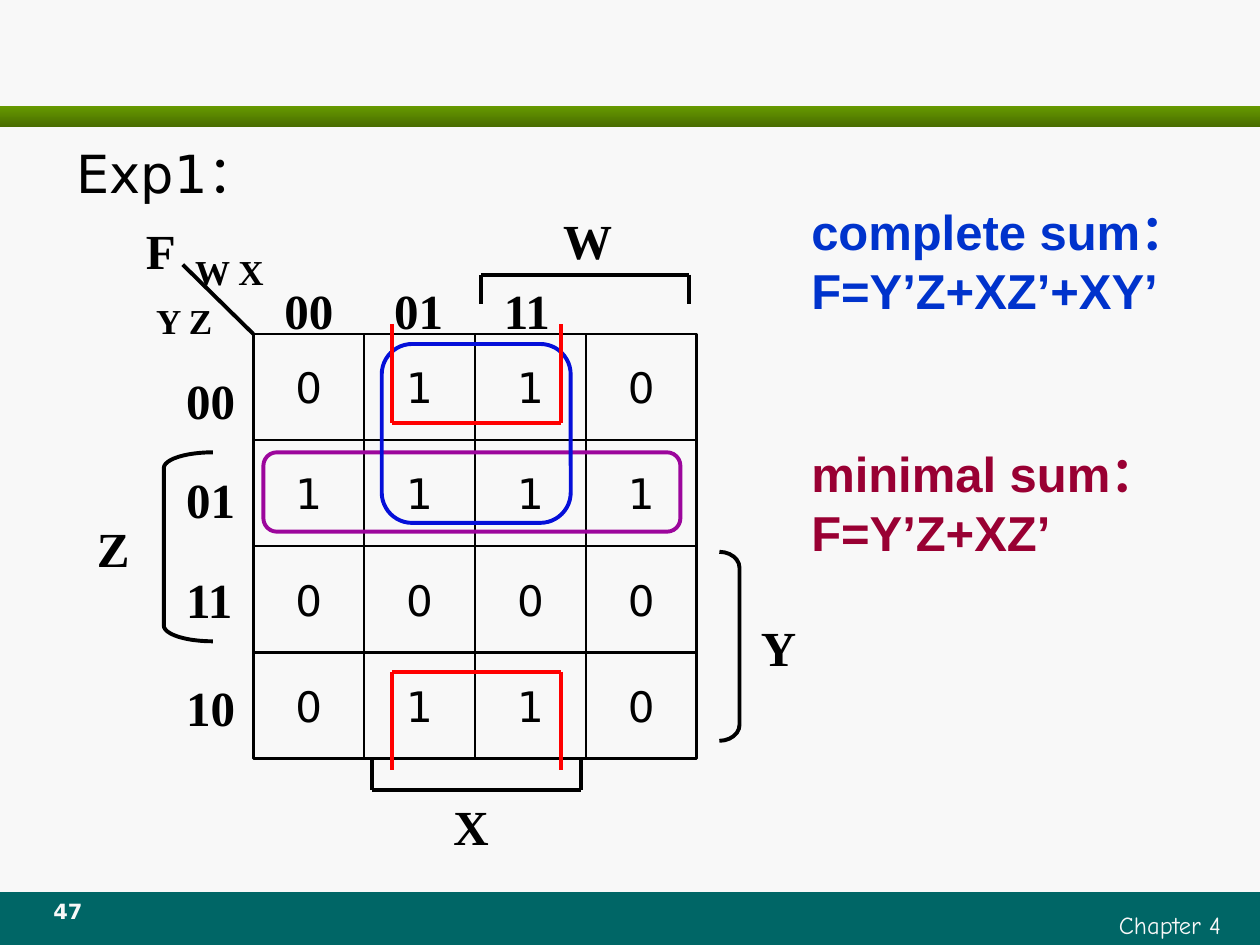
"""Build the Karnaugh map slide with its complete and minimal sums."""
from dataclasses import dataclass
from itertools import pairwise

from lxml import etree
from pptx import Presentation
from pptx.dml.color import RGBColor
from pptx.enum.shapes import MSO_CONNECTOR, MSO_SHAPE
from pptx.enum.text import MSO_ANCHOR, PP_ALIGN
from pptx.oxml.ns import qn
from pptx.util import Inches, Pt

LEFT, CENTER, RIGHT = PP_ALIGN.LEFT, PP_ALIGN.CENTER, PP_ALIGN.RIGHT
TOP, MIDDLE = MSO_ANCHOR.TOP, MSO_ANCHOR.MIDDLE
RECTANGLE, ROUNDED = MSO_SHAPE.RECTANGLE, MSO_SHAPE.ROUNDED_RECTANGLE
LEFT_BRACKET, RIGHT_BRACKET = MSO_SHAPE.LEFT_BRACKET, MSO_SHAPE.RIGHT_BRACKET
STRAIGHT = MSO_CONNECTOR.STRAIGHT


@dataclass(frozen=True)
class Theme:
    paper: str = "F8F8F8"
    footer: str = "006666"
    bar_top: str = "669900"
    bar_bottom: str = "496D00"
    ink: str = "000000"
    complete: str = "0033CC"
    minimal: str = "990033"
    purple: str = "9C069C"
    blue: str = "050FD9"
    red: str = "FF0000"
    plain: str = "DejaVu Sans"
    serif: str = "Times New Roman"
    sans: str = "Arial"
    casual: str = "Comic Neue"
    heading: int = 30
    label: int = 28
    digit: int = 24
    axis: int = 20
    chapter: int = 14
    number: int = 12
    thin: float = 1.5
    thick: float = 2.25


THEME = Theme()

MAP_ROWS = ["0110", "1111", "0000", "0110"]
MAP_LEFT, MAP_TOP, CELL_WIDTH, CELL_HEIGHT = 2.01, 2.65, 0.88, 0.8425

COLUMN_CODES = ["00", "01", "11"]
ROW_CODES = ["00", "01", "11", "10"]
CODE_LEFT, CODE_TOP, CODE_STEP = 2.16, 2.18, 0.87
ROW_CODE_LEFT, ROW_CODE_TOP, ROW_CODE_STEP = 1.38, 2.89, 0.79
ROW_CODE_LAST = 5.33

VARIABLES = [
    ("F", 1.06, 1.7, THEME.label),
    ("W", 4.37, 1.62, THEME.label),
    ("X", 3.5, 6.27, THEME.label),
    ("Y", 5.94, 4.85, THEME.label),
    ("Z", 0.67, 4.07, THEME.label),
    ("W X", 1.45, 1.94, THEME.axis),
    ("Y Z", 1.14, 2.33, THEME.axis),
]
SUMS = [
    ("complete sum：F=Y’Z+XZ’+XY’", 1.55, THEME.complete),
    ("minimal sum：F=Y’Z+XZ’", 3.47, THEME.minimal),
]
OUTLINES = [
    (RIGHT_BRACKET, (5.71, 4.38, 0.16, 1.5), 0.8, THEME.ink),
    (LEFT_BRACKET, (1.3, 3.59, 0.39, 1.5), 0.32, THEME.ink),
    (ROUNDED, (2.09, 3.59, 3.31, 0.63), 0.17, THEME.purple),
    (ROUNDED, (3.03, 2.73, 1.5, 1.42), 0.17, THEME.blue),
]
DIAGONAL = [(MAP_LEFT, MAP_TOP), (1.45, 2.1)]
OPEN_BOXES = [
    (3.82, 5.47, 2.41, 2.18, THEME.ink),
    (2.95, 4.61, 6.03, 6.27, THEME.ink),
    (3.11, 4.45, 6.11, 5.33, THEME.red),
    (3.11, 4.45, 2.57, 3.36, THEME.red),
]


def color(value):
    return RGBColor.from_string(value)


def write(box, text, size, font=THEME.serif, ink=THEME.ink, bold=True,
          align=LEFT, anchor=TOP):
    frame = box.text_frame
    frame.word_wrap = True
    frame.vertical_anchor = anchor
    para = frame.paragraphs[0]
    para.alignment = align
    span = para.add_run()
    span.text = text
    span.font.size = Pt(size)
    span.font.name = font
    span.font.bold = bold
    span.font.color.rgb = color(ink)


def add_text(page, text, place, size, **style):
    box = page.shapes.add_textbox(*map(Inches, place))
    write(box, text, size, **style)


def add_shape(page, kind, place, fill=None, line=None, width=THEME.thick):
    shape = page.shapes.add_shape(kind, *map(Inches, place))
    shape.shadow.inherit = False
    if fill:
        shape.fill.solid()
        shape.fill.fore_color.rgb = color(fill)
    else:
        shape.fill.background()
    if line:
        shape.line.color.rgb = color(line)
        shape.line.width = Pt(width)
    else:
        shape.line.fill.background()
    return shape


def add_path(page, points, ink=THEME.ink):
    for start, end in pairwise(points):
        line = page.shapes.add_connector(STRAIGHT, *map(Inches, start + end))
        line.line.color.rgb = color(ink)
        line.line.width = Pt(THEME.thick)
        properties = line._element.spPr
        etree.SubElement(properties, qn("a:effectLst"))


def add_frame(page):
    page.background.fill.solid()
    page.background.fill.fore_color.rgb = color(THEME.paper)
    add_shape(page, RECTANGLE, (0, 7.08, 10, 0.42), fill=THEME.footer)
    bar = add_shape(page, RECTANGLE, (0, 0.84, 10, 0.17))
    bar.fill.gradient()
    bar.fill.gradient_angle = 270
    stops = zip(bar.fill.gradient_stops, (THEME.bar_top, THEME.bar_bottom))
    for position, (stop, tint) in enumerate(stops):
        stop.position = position
        stop.color.rgb = color(tint)
    add_text(page, "Chapter 4", (5.79, 7.17, 4, 0.33), THEME.chapter,
             font=THEME.casual, ink=THEME.paper, bold=False, align=RIGHT)
    add_text(page, "47", (0.25, 7.08, 0.58, 0.33), THEME.number,
             font=THEME.plain, ink=THEME.paper, align=CENTER)
    add_text(page, "Exp1：", (0.51, 1.07, 8.99, 0.7), THEME.heading,
             font=THEME.plain, bold=False)


def add_map(page):
    for row, digits in enumerate(MAP_ROWS):
        for column, digit in enumerate(digits):
            place = (MAP_LEFT + column * CELL_WIDTH,
                     MAP_TOP + row * CELL_HEIGHT, CELL_WIDTH, CELL_HEIGHT)
            cell = add_shape(page, RECTANGLE, place, line=THEME.ink,
                             width=THEME.thin)
            write(cell, digit, THEME.digit, font=THEME.plain, bold=False,
                  align=CENTER, anchor=MIDDLE)


def add_labels(page):
    for index, code in enumerate(COLUMN_CODES):
        left = CODE_LEFT + index * CODE_STEP
        add_text(page, code, (left, CODE_TOP, 0.63, 0.57), THEME.label)
    tops = [ROW_CODE_TOP + index * ROW_CODE_STEP for index in range(3)]
    for code, top in zip(ROW_CODES, tops + [ROW_CODE_LAST]):
        add_text(page, code, (ROW_CODE_LEFT, top, 0.63, 0.57), THEME.label)
    for name, left, top, size in VARIABLES:
        add_text(page, name, (left, top, 0.79, 0.57), size)
    for text, top, ink in SUMS:
        add_text(page, text, (6.34, top, 3.39, 1.03), THEME.label,
                 font=THEME.sans, ink=ink)


def add_marks(page):
    add_path(page, DIAGONAL)
    for kind, place, curve, ink in OUTLINES:
        add_shape(page, kind, place, line=ink).adjustments[0] = curve
    for left, right, tip, base, ink in OPEN_BOXES:
        corners = [(left, tip), (left, base), (right, base), (right, tip)]
        add_path(page, corners, ink)


def main():
    deck = Presentation()
    deck.slide_width, deck.slide_height = Inches(10), Inches(7.5)
    page = deck.slides.add_slide(deck.slide_layouts[6])
    for step in (add_frame, add_map, add_labels, add_marks):
        step(page)
    deck.save("out.pptx")


if __name__ == "__main__":
    main()
